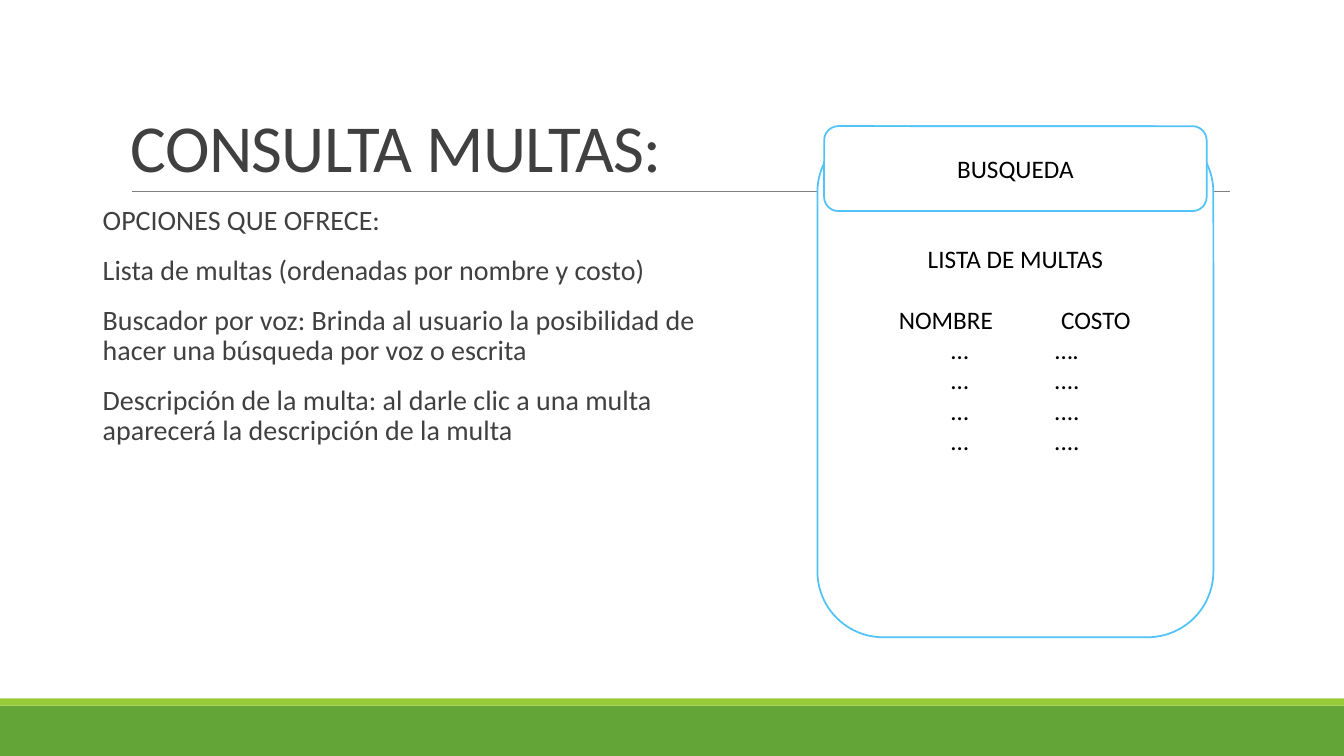
from lxml import etree
from pptx import Presentation
from pptx.dml.color import RGBColor
from pptx.enum import shapes, text
from pptx.oxml import ns
from pptx.util import Cm, Pt

GREEN = RGBColor(0x63, 0xA5, 0x37)
LIME = RGBColor(0x99, 0xCB, 0x38)
GREY = RGBColor(0x80, 0x80, 0x80)
CHARCOAL = RGBColor(0x40, 0x40, 0x40)
SKY = RGBColor(0x51, 0xC3, 0xF9)
WHITE = RGBColor(0xFF, 0xFF, 0xFF)
BLACK = RGBColor(0, 0, 0)

PAGE_WIDTH, PAGE_HEIGHT = 33.87, 19.05

OPTIONS = [
    "OPCIONES QUE OFRECE:",
    "Lista de multas (ordenadas por nombre y costo)",
    "Buscador por voz: Brinda al usuario la posibilidad de hacer una búsqueda por voz o escrita",
    "Descripción de la multa: al darle clic a una multa aparecerá la descripción de la multa",
]
FINES = [("…", "….")] + [("…", "....")] * 3


def add_line(frame, words, size=18, color=BLACK, align=text.PP_ALIGN.LEFT,
             leading=1.0, before=0, after=0, tracking=None, centre_tabs=()):
    """Write one paragraph, using the frame's empty first one if it is free."""
    para = frame.paragraphs[0]
    if para.runs:
        para = frame.add_paragraph()
        para.space_before = Pt(before)
    para.alignment = align
    para.line_spacing = leading
    para.space_after = Pt(after)
    if centre_tabs:
        tabs = etree.SubElement(para._p.get_or_add_pPr(), ns.qn("a:tabLst"))
        for stop in centre_tabs:
            etree.SubElement(tabs, ns.qn("a:tab"), pos=str(Cm(stop)), algn="ctr")
    span = para.add_run()
    span.text = words
    span.font.name = "Calibri"
    span.font.size = Pt(size)
    span.font.color.rgb = color
    if tracking is not None:
        span._r.get_or_add_rPr().set("spc", str(tracking))


def add_text_box(page, left, top, width, height, anchor):
    box = page.shapes.add_textbox(Cm(left), Cm(top), Cm(width), Cm(height))
    frame = box.text_frame
    frame.word_wrap = True
    frame.vertical_anchor = anchor
    return frame


def add_panel(page, kind, left, top, width, height, fill, outline=None):
    panel = page.shapes.add_shape(kind, Cm(left), Cm(top), Cm(width), Cm(height))
    panel.shadow.inherit = False
    panel.fill.solid()
    panel.fill.fore_color.rgb = fill
    if outline is None:
        panel.line.fill.background()
    else:
        panel.line.color.rgb = outline
        panel.line.width = Pt(1.25)
    panel.text_frame.word_wrap = True
    return panel


def add_footer(page, top, height, stripe):
    rectangle = shapes.MSO_SHAPE.RECTANGLE
    add_panel(page, rectangle, 0, top, PAGE_WIDTH, height, GREEN)
    add_panel(page, rectangle, 0, top - stripe, PAGE_WIDTH, stripe, LIME)


def add_title(page, left, top, width, height):
    """Place the title with the thin rule along its bottom edge."""
    bottom = Cm(top + height)
    rule = page.shapes.add_connector(shapes.MSO_CONNECTOR.STRAIGHT,
                                     Cm(left + 0.28), bottom, Cm(left + width), bottom)
    rule.line.color.rgb = GREY
    rule.line.width = Pt(0.5)
    etree.SubElement(rule._element.spPr, ns.qn("a:effectLst"))
    frame = add_text_box(page, left, top, width, height, text.MSO_ANCHOR.BOTTOM)
    add_line(frame, "CONSULTA MULTAS:", size=48, color=CHARCOAL, leading=0.85, tracking=-50)


def add_options(page, left, top, width, height):
    frame = add_text_box(page, left, top, width, height, text.MSO_ANCHOR.TOP)
    frame.margin_right = 0
    for option in OPTIONS:
        add_line(frame, option, size=20, color=CHARCOAL, leading=0.9, before=12, after=2)


def add_phone_screen(page, left, top, width, height):
    """Draw the list of fines with the search field over its top edge."""
    rounded = shapes.MSO_SHAPE.ROUNDED_RECTANGLE
    centre = text.PP_ALIGN.CENTER
    screen = add_panel(page, rounded, left, top, width, height, WHITE, SKY).text_frame
    screen.vertical_anchor = text.MSO_ANCHOR.TOP
    screen.margin_top = Cm(2.46)
    add_line(screen, "LISTA DE MULTAS", align=centre)
    add_line(screen, "\tNOMBRE\tCOSTO", before=22, centre_tabs=(2.5, 6.28))
    for name, cost in FINES:
        add_line(screen, f"\t{name}\t{cost}", centre_tabs=(2.85, 5.55))

    inset = 0.17
    search = add_panel(page, rounded, left + inset, top, width - 2 * inset, 2.14,
                       WHITE, SKY).text_frame
    search.vertical_anchor = text.MSO_ANCHOR.MIDDLE
    add_line(search, "BUSQUEDA", align=centre)


def main():
    deck = Presentation()
    deck.slide_width, deck.slide_height = Cm(PAGE_WIDTH), Cm(PAGE_HEIGHT)
    page = deck.slides.add_slide(deck.slide_layouts[6])
    add_footer(page, top=17.78, height=1.27, stripe=0.18)
    add_title(page, left=3.05, top=0.79, width=27.95, height=4.03)
    add_options(page, left=2.34, top=5.08, width=16.41, height=12.09)
    add_phone_screen(page, left=20.6, top=3.18, width=9.98, height=12.88)
    deck.save("out.pptx")


if __name__ == "__main__":
    main()
